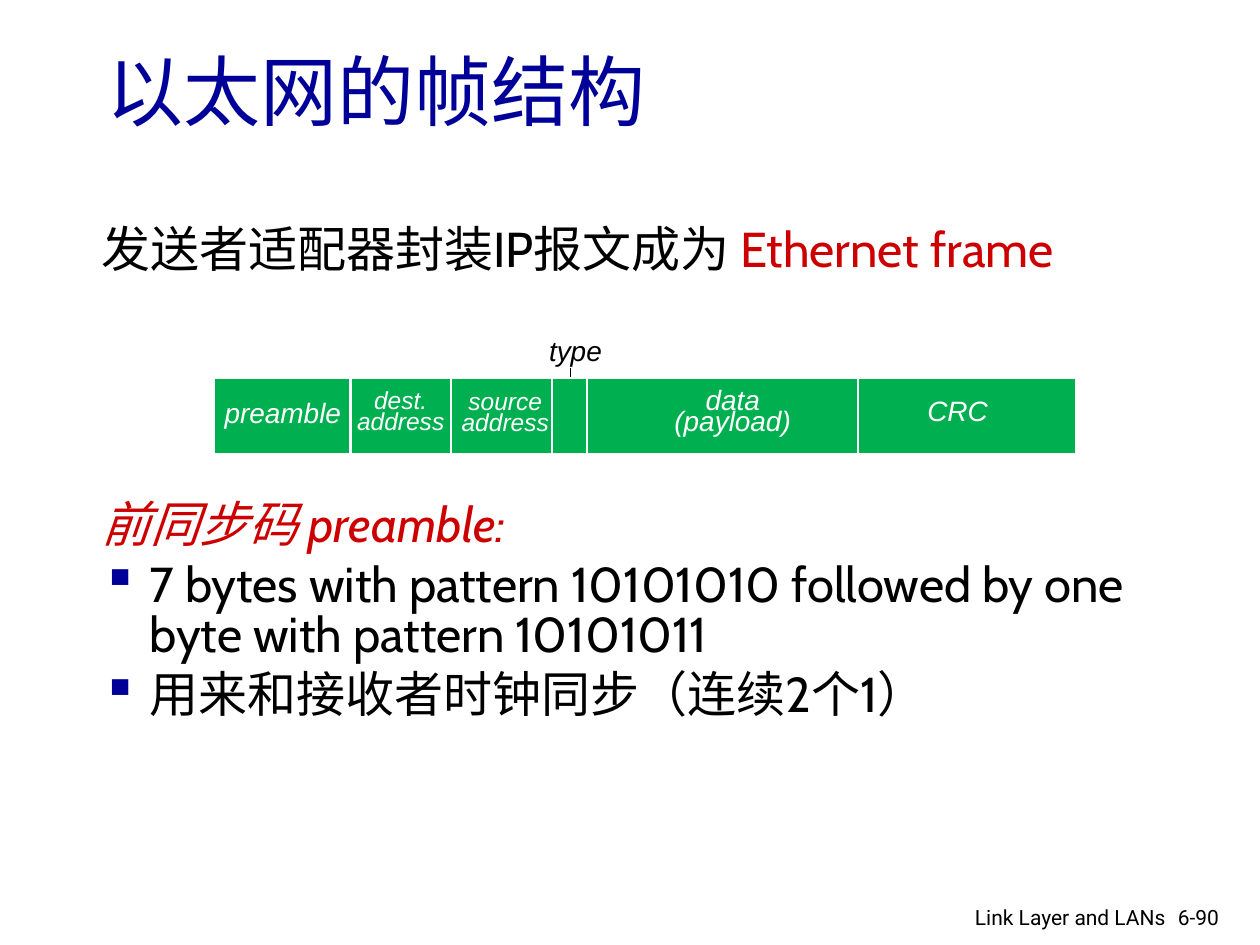
from dataclasses import dataclass

import pptx
import pptx.dml.color
import pptx.enum.shapes
import pptx.enum.text
import pptx.oxml
import pptx.oxml.ns
import pptx.util
from lxml import etree
from pptx.util import Inches


@dataclass(frozen=True)
class Theme:
    """Colours, fonts and type sizes of the slide."""
    navy: str = "000099"
    red: str = "CC0000"
    black: str = "000000"
    white: str = "FFFFFF"
    green: str = "00B050"
    main_font: str = "Cabin"
    field_font: str = "Arial"
    footer_font: str = "Roboto"
    title_size: int = 44
    body_size: int = 28
    field_size: int = 16
    address_size: int = 14
    footer_size: int = 12


THEME = Theme()
CENTER = pptx.enum.text.PP_ALIGN.CENTER
RIGHT = pptx.enum.text.PP_ALIGN.RIGHT


def rgb(value):
    """Return a colour object for a hex value."""
    return pptx.dml.color.RGBColor.from_string(value)


def style(font, name, size, color, italic=False):
    """Set the look of a font."""
    font.name = name
    font.size = pptx.util.Pt(size)
    font.color.rgb = rgb(color)
    font.italic = italic


def add_text(slide, box, lines, name, size, color, italic=False, align=None, spacing=None):
    """Add a wrapping text box with one paragraph per line."""
    shape = slide.shapes.add_textbox(*map(Inches, box))
    text_frame = shape.text_frame
    text_frame.word_wrap = True
    text_frame.text = "\n".join(lines)
    for paragraph in text_frame.paragraphs:
        paragraph.alignment = align
        paragraph.line_spacing = spacing
        for run in paragraph.runs:
            style(run.font, name, size, color, italic)
    return text_frame


def add_body(slide, box, lines):
    """Add a text box in the body style."""
    text_frame = add_text(slide, box, lines, THEME.main_font, THEME.body_size,
                          THEME.black, spacing=0.85)
    for paragraph in text_frame.paragraphs[1:]:
        paragraph.space_before = pptx.util.Pt(5.6)
    return text_frame


def add_bullet(paragraph):
    """Give a paragraph a hanging square bullet."""
    properties = paragraph._p.get_or_add_pPr()
    properties.set("marL", str(Inches(0.38)))
    properties.set("indent", str(-Inches(0.38)))
    color = etree.SubElement(properties, pptx.oxml.ns.qn("a:buClr"))
    etree.SubElement(color, pptx.oxml.ns.qn("a:srgbClr"), val=THEME.navy)
    etree.SubElement(properties, pptx.oxml.ns.qn("a:buChar"), char="▪")


def add_vertical_line(slide, x, top, bottom, color, width):
    """Add a vertical line without shadow."""
    line = slide.shapes.add_connector(pptx.enum.shapes.MSO_CONNECTOR.STRAIGHT,
                                      Inches(x), Inches(top), Inches(x), Inches(bottom))
    line.line.color.rgb = rgb(color)
    line.line.width = pptx.util.Pt(width)
    etree.SubElement(line._element.spPr, pptx.oxml.ns.qn("a:effectLst"))


def add_frame_diagram(slide):
    """Draw the Ethernet frame with its fields."""
    top, height = 3, 0.6
    add_vertical_line(slide, 4.53, 2.92, 3.14, THEME.black, 0.75)
    bar = slide.shapes.add_shape(pptx.enum.shapes.MSO_SHAPE.RECTANGLE,
                                 Inches(1.7), Inches(top), Inches(6.84), Inches(height))
    bar.shadow.inherit = False
    bar.fill.solid()
    bar.fill.fore_color.rgb = rgb(THEME.green)
    bar.line.color.rgb = rgb(THEME.white)
    bar.line.width = pptx.util.Pt(0.75)
    for x in (2.78, 3.58, 4.38, 4.66, 6.81):
        add_vertical_line(slide, x, top, top + height, THEME.white, 1.5)
    fields = (
        ((2.72, 3.07, 0.92, 0.45), ("dest.", "address"), THEME.address_size),
        ((3.55, 3.08, 0.92, 0.45), ("source", "address"), THEME.address_size),
        ((5.06, 3.09, 1.51, 0.45), ("data", "(payload)"), THEME.field_size),
        ((7.13, 3.17, 0.94, 0.29), ("CRC",), THEME.field_size),
        ((1.66, 3.19, 1.17, 0.29), ("preamble",), THEME.field_size),
    )
    for box, lines, size in fields:
        add_text(slide, box, lines, THEME.field_font, size, THEME.white,
                 italic=True, align=CENTER, spacing=pptx.util.Pt(12))
    add_text(slide, (4.26, 2.6, 0.84, 0.37), ("type",), THEME.field_font,
             THEME.field_size, THEME.black, italic=True)


def main():
    """Build and save the slide."""
    presentation = pptx.Presentation()
    presentation.slide_width, presentation.slide_height = Inches(10), Inches(7.5)
    slide = presentation.slides.add_slide(presentation.slide_layouts[6])

    title = add_text(slide, (0.75, 0.38, 8.5, 0.67), ("以太网的帧结构",),
                     THEME.main_font, THEME.title_size, THEME.navy)
    title.vertical_anchor = pptx.enum.text.MSO_ANCHOR.MIDDLE

    intro = add_body(slide, (0.71, 1.76, 8.5, 0.6), ("发送者适配器封装IP报文成为 ",))
    term = intro.paragraphs[0].add_run()
    term.text = "Ethernet frame"
    style(term.font, THEME.main_font, THEME.body_size, THEME.red)

    add_frame_diagram(slide)

    details = add_body(slide, (0.71, 3.94, 8.5, 2.57), (
        "前同步码 preamble:",
        "7 bytes with pattern 10101010 followed by one byte with pattern 10101011",
        "用来和接收者时钟同步（连续2个1）",
    ))
    heading, *points = details.paragraphs
    style(heading.runs[0].font, THEME.main_font, THEME.body_size, THEME.red, italic=True)
    for point in points:
        add_bullet(point)

    for box, text, align in (((9.25, 7.13, 0.6, 0.3), "6-90", None),
                             ((6.97, 7.13, 2.38, 0.26), "Link Layer and LANs", RIGHT)):
        add_text(slide, box, (text,), THEME.footer_font, THEME.footer_size,
                 THEME.black, align=align)
    presentation.save("out.pptx")


if __name__ == "__main__":
    main()
